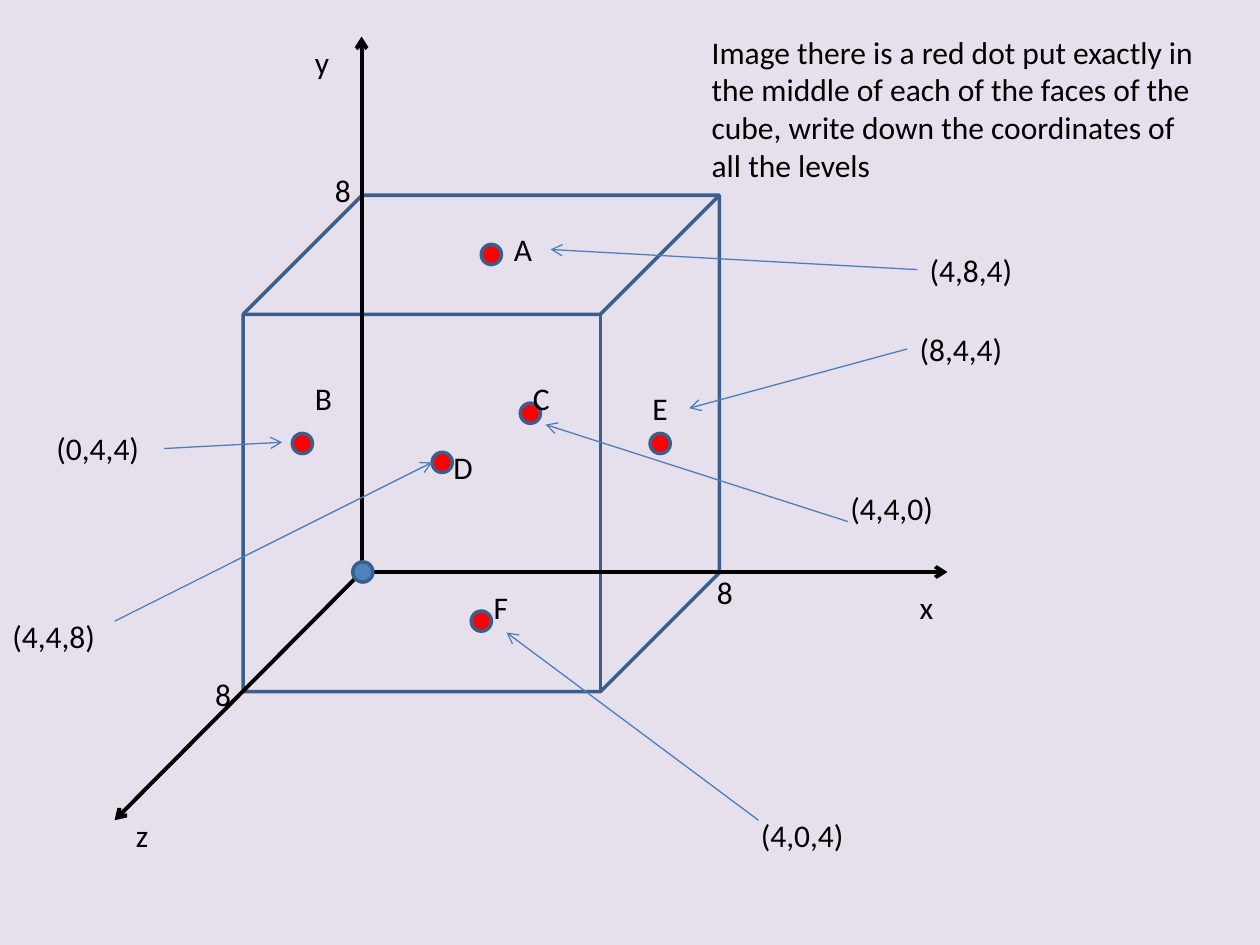
from lxml import etree
from pptx import Presentation
from pptx import util as u
from pptx.dml.color import RGBColor
from pptx.enum import shapes, text
from pptx.oxml.ns import qn

COLOURS = {
    "background": "E6E0EC",
    "edge": "3A5F8C",
    "pointer": "4B7EBC",
    "axis": "000000",
    "text": "000000",
    "origin": "4F81BD",
    "dot": "FF0000",
}


class CubeSlide:
    font = "Calibri"
    size = 18
    dot_size = 0.16
    label_height = 0.4

    def __init__(self, prs):
        self.s = prs.slides.add_slide(prs.slide_layouts[6])
        fill = self.s.background.fill
        fill.solid()
        fill.fore_color.rgb = self.colour("background")

    @staticmethod
    def colour(name):
        return RGBColor.from_string(COLOURS[name])

    def shape(self, kind, x, y, w, h, fill=None):
        sp = self.s.shapes.add_shape(kind, *map(u.Inches, (x, y, w, h)))
        sp.shadow.inherit = False
        if fill:
            sp.fill.solid()
            sp.fill.fore_color.rgb = self.colour(fill)
        else:
            sp.fill.background()
        sp.line.color.rgb = self.colour("edge")
        sp.line.width = u.Pt(2)
        return sp

    def dot(self, x, y, fill="dot"):
        return self.shape(shapes.MSO_SHAPE.OVAL, x, y, self.dot_size, self.dot_size, fill)

    def line(self, start, end, colour="pointer", width=0.75, arrow=True):
        cx = self.s.shapes.add_connector(
            shapes.MSO_CONNECTOR.STRAIGHT, *map(u.Inches, (*start, *end)))
        cx.line.color.rgb = self.colour(colour)
        cx.line.width = u.Pt(width)
        if arrow:
            etree.SubElement(cx.line._get_or_add_ln(), qn("a:tailEnd"), type="arrow")
        etree.SubElement(cx._element.spPr, qn("a:effectLst"))
        return cx

    def label(self, words, x, y, w, h=label_height, wrap=True):
        tf = self.s.shapes.add_textbox(*map(u.Inches, (x, y, w, h))).text_frame
        tf.word_wrap = wrap
        tf.auto_size = text.MSO_AUTO_SIZE.SHAPE_TO_FIT_TEXT
        p = tf.paragraphs[0]
        p.text = words
        p.font.name = self.font
        p.font.size = u.Pt(self.size)
        p.font.color.rgb = self.colour("text")


def main():
    prs = Presentation()
    prs.slide_width, prs.slide_height = u.Inches(10), u.Inches(7.5)
    slide = CubeSlide(prs)
    origin = (2.87, 4.54)

    # Cube and its hidden edges
    slide.shape(shapes.MSO_SHAPE.CUBE, 1.93, 1.55, 3.78, 3.94)
    for end in ((2.87, 1.55), (5.71, 4.54)):
        slide.line(end, origin, arrow=False)

    # Axes: y, x, z
    for end in ((2.87, 0.29), (7.52, 4.54), (0.91, 6.51)):
        slide.line(origin, end, "axis", 2.25)
    slide.dot(2.8, 4.46, "origin")

    # Axis names and the side length on each axis
    for words, x, y in (("y", 2.4, 0.29), ("x", 7.2, 4.62), ("z", 0.98, 6.43),
                        ("8", 5.59, 4.5), ("8", 1.61, 5.31), ("8", 2.56, 1.31)):
        slide.label(words, x, y, 0.32, wrap=False)

    # Task
    slide.label("Image there is a red dot put exactly in the middle of each of the faces "
                "of the cube, write down the coordinates of all the levels",
                5.55, 0.21, 4.06, 1.31)

    # Faces: letter, dot, letter place, coordinates, their place, pointer start and end
    faces = (
        ("A", (3.82, 1.94), (3.98, 1.78), "(4,8,4)", (7.28, 1.94), (7.28, 2.14), (4.37, 1.98)),
        ("E", (5.16, 3.44), (5.08, 3.04), "(8,4,4)", (7.2, 2.57), (7.2, 2.77), (5.47, 3.24)),
        ("B", (2.32, 3.44), (2.4, 2.96), "(0,4,4)", (0.35, 3.36), (1.3, 3.56), (2.24, 3.51)),
        ("D", (3.43, 3.59), (3.5, 3.51), "(4,4,8)", (0, 4.85), (0.91, 4.93), (3.43, 3.67)),
        ("C", (4.13, 3.2), (4.13, 2.96), "(4,4,0)", (6.65, 3.83), (6.73, 4.14), (4.33, 3.37)),
        ("F", (3.74, 4.85), (3.82, 4.62), "(4,0,4)", (5.94, 6.43), (6.02, 6.51), (4.02, 5.02)),
    )
    for letter, dot, letter_at, coordinates, coordinates_at, start, end in faces:
        slide.dot(*dot)
        slide.label(letter, *letter_at, 0.39)
        slide.label(coordinates, *coordinates_at, 0.94)
        slide.line(start, end)

    prs.save("out.pptx")


if __name__ == "__main__":
    main()
